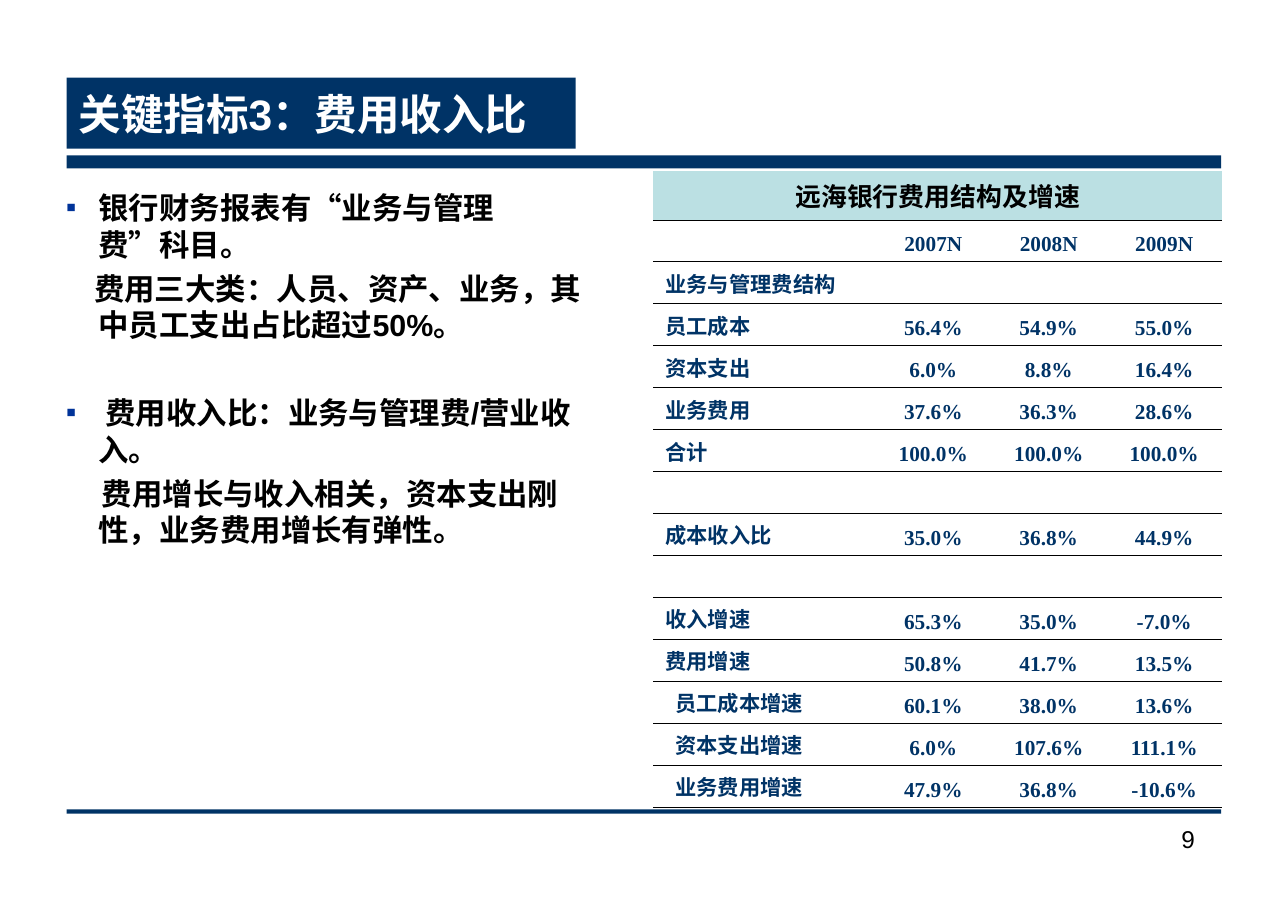
from dataclasses import dataclass

from lxml import etree
from pptx import Presentation
from pptx.dml.color import RGBColor
from pptx.enum.shapes import MSO_SHAPE
from pptx.enum.text import MSO_ANCHOR, MSO_AUTO_SIZE, PP_ALIGN
from pptx.oxml.ns import qn
from pptx.util import Inches, Pt

LEFT, CENTER, RIGHT = PP_ALIGN.LEFT, PP_ALIGN.CENTER, PP_ALIGN.RIGHT
TOP, MIDDLE, BOTTOM = MSO_ANCHOR.TOP, MSO_ANCHOR.MIDDLE, MSO_ANCHOR.BOTTOM

# Content
TITLE = "关键指标3：费用收入比"
# text, bullet, first-line indent (inches), space before (points)
BODY = [
    ("银行财务报表有“业务与管理费”科目。", True, -0.29, 5),
    ("费用三大类：人员、资产、业务，其中员工支出占比超过50%。", False, -0.04, 5),
    (" 费用收入比：业务与管理费/营业收入。", True, -0.29, 34),
    ("费用增长与收入相关，资本支出刚性，业务费用增长有弹性。", False, 0.03, 5),
]
TABLE_TITLE = "远海银行费用结构及增速"
TABLE_ROWS = [
    ("", "2007N", "2008N", "2009N"),
    ("业务与管理费结构", "", "", ""),
    ("员工成本", "56.4%", "54.9%", "55.0%"),
    ("资本支出", "6.0%", "8.8%", "16.4%"),
    ("业务费用", "37.6%", "36.3%", "28.6%"),
    ("合计", "100.0%", "100.0%", "100.0%"),
    ("", "", "", ""),
    ("成本收入比", "35.0%", "36.8%", "44.9%"),
    ("", "", "", ""),
    ("收入增速", "65.3%", "35.0%", "-7.0%"),
    ("费用增速", "50.8%", "41.7%", "13.5%"),
    ("员工成本增速", "60.1%", "38.0%", "13.6%"),
    ("资本支出增速", "6.0%", "107.6%", "111.1%"),
    ("业务费用增速", "47.9%", "36.8%", "-10.6%"),
]
SUB_ITEMS = {"员工成本增速", "资本支出增速", "业务费用增速"}
PAGE_NUMBER = "9"

# Layout, in inches (slide size in points)
SLIDE_WIDTH, SLIDE_HEIGHT = Pt(847.5), Pt(601)
RULES = [(0.61, 1.42, 10.55, 0.12), (0.61, 7.4, 10.55, 0.04)]
TITLE_BOX = (0.61, 0.71, 4.65, 0.65)
BODY_BOX = (0.5, 1.67, 4.94, 4.33)
TABLE_BOX = (5.97, 1.56, 5.2, 5.82)
PAGE_BOX = (10.14, 7.48, 0.89, 0.58)
COLUMN_WIDTHS = (2.03, 1.06, 1.05, 1.06)
HEADER_HEIGHT = 0.45
SUB_INDENT = 0.09
BODY_INDENT = 0.29


@dataclass(frozen=True)
class Theme:
    navy: str = "003366"
    bullet: str = "003399"
    header: str = "BBE0E3"
    black: str = "000000"
    white: str = "FFFFFF"
    latin: str = "Arial"
    chinese: str = "Noto Sans CJK SC"
    numbers: str = "Times New Roman"
    title_size: int = 28
    body_size: int = 20
    body_line: int = 24
    header_size: int = 17
    cell_size: int = 14
    page_size: int = 16
    border: float = 0.45


THEME = Theme()


def inches(box):
    return [Inches(value) for value in box]


def set_fill(target, color):
    target.fill.solid()
    target.fill.fore_color.rgb = RGBColor.from_string(color)


def write_text(paragraph, text, *, size, color, font=THEME.latin, bold=True, align=LEFT):
    paragraph.alignment = align
    if not text:
        etree.SubElement(paragraph._p, qn("a:endParaRPr"), sz=str(size * 100))
        return
    run = paragraph.add_run()
    run.text = text
    run.font.size, run.font.bold, run.font.name = Pt(size), bold, font
    run.font.color.rgb = RGBColor.from_string(color)
    etree.SubElement(run._r.get_or_add_rPr(), qn("a:ea"), typeface=THEME.chinese)


def prepare_frame(shape, anchor=TOP):
    frame = shape.text_frame
    frame.word_wrap = True
    frame.auto_size = MSO_AUTO_SIZE.NONE
    frame.vertical_anchor = anchor
    frame.margin_left = frame.margin_right = Inches(0.11)
    frame.margin_top = frame.margin_bottom = Inches(0.06)
    return frame


def set_indent(paragraph, margin, first_line=0.0, bullet=False):
    properties = paragraph._p.get_or_add_pPr()
    properties.set("marL", str(Inches(margin)))
    properties.set("indent", str(Inches(first_line)))
    if bullet:
        color = etree.SubElement(properties, qn("a:buClr"))
        etree.SubElement(color, qn("a:srgbClr"), val=THEME.bullet)
        etree.SubElement(properties, qn("a:buSzPct"), val="50000")
        etree.SubElement(properties, qn("a:buFont"), typeface=THEME.latin)
        etree.SubElement(properties, qn("a:buChar"), char="■")
    else:
        etree.SubElement(properties, qn("a:buNone"))


def set_borders(cell, black_sides):
    properties = cell._tc.get_or_add_tcPr()
    for side in "LRTB":
        line = etree.SubElement(properties, qn(f"a:ln{side}"), w=str(Pt(THEME.border)))
        if side in black_sides:
            fill = etree.SubElement(line, qn("a:solidFill"))
            etree.SubElement(fill, qn("a:srgbClr"), val=THEME.black)
        else:
            etree.SubElement(line, qn("a:noFill"))


def format_cell(cell, fill, black_sides="TB"):
    set_borders(cell, black_sides)
    set_fill(cell, fill)
    cell.vertical_anchor = BOTTOM
    cell.margin_left = cell.margin_right = Inches(0.11)
    cell.margin_top = cell.margin_bottom = Inches(0.05)
    return cell.text_frame.paragraphs[0]


def add_rules(slide):
    for box in RULES:
        rule = slide.shapes.add_shape(MSO_SHAPE.RECTANGLE, *inches(box))
        rule.shadow.inherit = False
        rule.line.fill.background()
        set_fill(rule, THEME.navy)


def add_title(slide):
    title = slide.shapes.title
    title.left, title.top, title.width, title.height = inches(TITLE_BOX)
    set_fill(title, THEME.navy)
    frame = prepare_frame(title, MIDDLE)
    write_text(frame.paragraphs[0], TITLE, size=THEME.title_size, color=THEME.white)


def add_body(slide):
    frame = prepare_frame(slide.shapes.add_textbox(*inches(BODY_BOX)))
    for index, (text, bullet, first_line, space) in enumerate(BODY):
        paragraph = frame.add_paragraph() if index else frame.paragraphs[0]
        paragraph.line_spacing = Pt(THEME.body_line)
        paragraph.space_before = Pt(space)
        set_indent(paragraph, BODY_INDENT, first_line, bullet)
        write_text(paragraph, text, size=THEME.body_size, color=THEME.black)


def add_cost_table(slide):
    row_count, column_count = len(TABLE_ROWS) + 1, len(COLUMN_WIDTHS)
    frame = slide.shapes.add_table(row_count, column_count, *inches(TABLE_BOX))
    table = frame.table
    table.first_row = table.horz_banding = False
    for column, width in zip(table.columns, COLUMN_WIDTHS):
        column.width = Inches(width)
    row_height = (TABLE_BOX[3] - HEADER_HEIGHT) / len(TABLE_ROWS)
    for index, row in enumerate(table.rows):
        row.height = Inches(row_height if index else HEADER_HEIGHT)

    # Header across all columns
    table.cell(0, 0).merge(table.cell(0, column_count - 1))
    for column in range(column_count):
        paragraph = format_cell(table.cell(0, column), THEME.header, "B")
        write_text(paragraph, "" if column else TABLE_TITLE, size=THEME.header_size,
                   color=THEME.black, font=THEME.chinese, align=CENTER)

    # Labels and values
    for row, values in enumerate(TABLE_ROWS, start=1):
        for column, text in enumerate(values):
            paragraph = format_cell(table.cell(row, column), THEME.white)
            if text in SUB_ITEMS:
                set_indent(paragraph, SUB_INDENT)
            write_text(paragraph, text, size=THEME.cell_size, color=THEME.navy,
                       font=THEME.numbers if column else THEME.chinese,
                       align=CENTER if column else LEFT)


def add_page_number(slide):
    frame = prepare_frame(slide.shapes.add_textbox(*inches(PAGE_BOX)))
    write_text(frame.paragraphs[0], PAGE_NUMBER, size=THEME.page_size,
               color=THEME.black, bold=False, align=RIGHT)


def main():
    presentation = Presentation()
    presentation.slide_width = SLIDE_WIDTH
    presentation.slide_height = SLIDE_HEIGHT
    slide = presentation.slides.add_slide(presentation.slide_layouts[5])
    add_rules(slide)
    add_title(slide)
    add_body(slide)
    add_cost_table(slide)
    add_page_number(slide)
    presentation.save("out.pptx")


if __name__ == "__main__":
    main()
